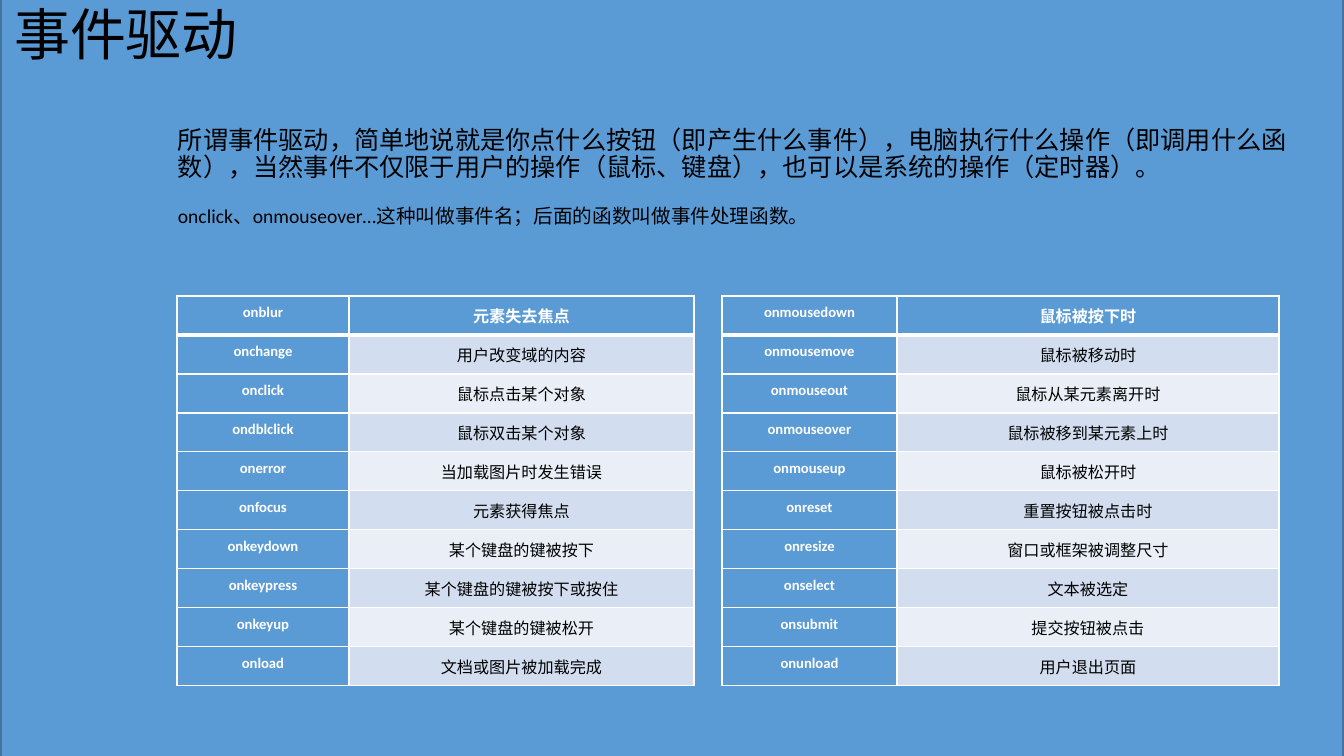
from lxml.etree import SubElement
from pptx import Presentation
from pptx.dml.color import RGBColor
from pptx.enum.shapes import MSO_SHAPE
from pptx.enum.text import MSO_ANCHOR, PP_ALIGN
from pptx.oxml.ns import qn
from pptx.util import Pt

TITLE = "事件驱动"
INTRO = [
    ("所谓事件驱动，简单地说就是你点什么按钮（即产生什么事件），电脑执行什么操作（即调用什么函数），"
     "当然事件不仅限于用户的操作（鼠标、键盘），也可以是系统的操作（定时器）。", 18, 0),
    ("onclick、onmouseover…这种叫做事件名；后面的函数叫做事件处理函数。", 14, 17),
]
TABLES = [
    (177, (172, 345), [
        ("onblur", "元素失去焦点"),
        ("onchange", "用户改变域的内容"),
        ("onclick", "鼠标点击某个对象"),
        ("ondblclick", "鼠标双击某个对象"),
        ("onerror", "当加载图片时发生错误"),
        ("onfocus", "元素获得焦点"),
        ("onkeydown", "某个键盘的键被按下"),
        ("onkeypress", "某个键盘的键被按下或按住"),
        ("onkeyup", "某个键盘的键被松开"),
        ("onload", "文档或图片被加载完成"),
    ]),
    (722, (175, 382), [
        ("onmousedown", "鼠标被按下时"),
        ("onmousemove", "鼠标被移动时"),
        ("onmouseout", "鼠标从某元素离开时"),
        ("onmouseover", "鼠标被移到某元素上时"),
        ("onmouseup", "鼠标被松开时"),
        ("onreset", "重置按钮被点击时"),
        ("onresize", "窗口或框架被调整尺寸"),
        ("onselect", "文本被选定"),
        ("onsubmit", "提交按钮被点击"),
        ("onunload", "用户退出页面"),
    ]),
]
COLORS = {"blue": "5B9BD5", "edge": "43739E", "dark": "D2DEEF",
          "light": "EAEFF7", "white": "FFFFFF", "black": "000000"}
FONT = "Calibri"
TOP, ROW = 296, 39
WIDE, HIGH = 1344, 756


def px(count):
    return round(count * 914400 / 100.8)


def color(name):
    return RGBColor.from_string(COLORS[name])


def style(para, size, name="black", bold=False, align=PP_ALIGN.LEFT):
    para.alignment = align
    font = para.font
    font.name, font.size, font.bold = FONT, Pt(size), bold
    font.color.rgb = color(name)


def border(cell, row):
    props = cell._tc.get_or_add_tcPr()
    widths = {"L": 1, "R": 1, "T": 3 if row == 1 else 1, "B": 3 if row == 0 else 1}
    for side, width in widths.items():
        line = SubElement(props, qn(f"a:ln{side}"), w=str(Pt(width)))
        fill = SubElement(line, qn("a:solidFill"))
        SubElement(fill, qn("a:srgbClr"), val=COLORS["white"])


def fill_cell(cell, text, row, col):
    head = row == 0 or col == 0
    cell.margin_left = cell.margin_right = px(7)
    cell.margin_top = cell.margin_bottom = px(8)
    cell.text = text
    style(cell.text_frame.paragraphs[0], 11.5 if col else 10.5,
          "white" if head else "black", head, PP_ALIGN.CENTER)
    border(cell, row)
    cell.fill.solid()
    cell.fill.fore_color.rgb = color("blue" if head else "dark" if row % 2 else "light")


def add_events(slide, left, widths, events):
    frame = slide.shapes.add_table(len(events), len(widths), px(left), px(TOP),
                                   px(sum(widths)), px(ROW * len(events)))
    table = frame.table
    for column, width in zip(table.columns, widths):
        column.width = px(width)
    for row, event in enumerate(events):
        table.rows[row].height = px(ROW)
        for col, text in enumerate(event):
            fill_cell(table.cell(row, col), text, row, col)


def main():
    deck = Presentation()
    deck.slide_width, deck.slide_height = px(WIDE), px(HIGH)
    slide = deck.slides.add_slide(deck.slide_layouts[5])
    shapes = slide.shapes

    back = shapes.add_shape(MSO_SHAPE.RECTANGLE, px(1), px(-1), px(1342), px(758))
    back.shadow.inherit = False
    back.fill.solid()
    back.fill.fore_color.rgb = color("blue")
    back.line.color.rgb = color("edge")
    back.line.width = Pt(1)
    shapes._spTree.insert(2, back._element)

    title = shapes.title
    title.left, title.top, title.width, title.height = px(4), px(2), px(1338), px(100)
    title.text_frame.text = TITLE
    title.text_frame.vertical_anchor = MSO_ANCHOR.TOP
    heading = title.text_frame.paragraphs[0]
    style(heading, 40)
    heading.line_spacing = 0.9

    body = shapes.add_textbox(px(168), px(123), px(1165), px(130)).text_frame
    body.word_wrap = True
    for index, (text, size, gap) in enumerate(INTRO):
        para = body.add_paragraph() if index else body.paragraphs[0]
        para.text = text
        style(para, size)
        para.line_spacing = 0.9
        para.space_before = Pt(gap)

    for left, widths, events in TABLES:
        add_events(slide, left, widths, events)
    deck.save("out.pptx")


if __name__ == "__main__":
    main()
